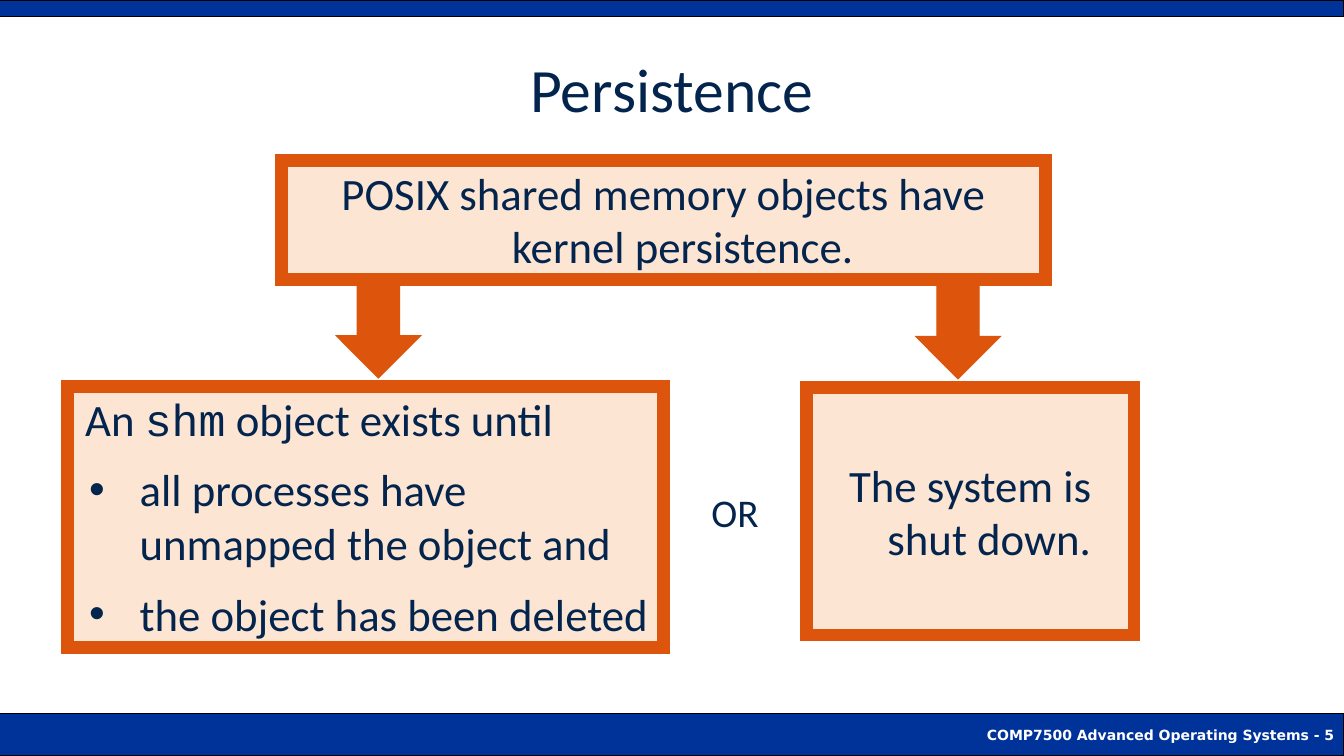
from pptx import Presentation
from pptx.dml.color import RGBColor
from pptx.enum.shapes import MSO_SHAPE
from pptx.enum.text import MSO_ANCHOR, PP_ALIGN
from pptx.oxml.ns import qn
from pptx.util import Inches, Pt
from lxml import etree

RECT, DOWN_ARROW = MSO_SHAPE.RECTANGLE, MSO_SHAPE.DOWN_ARROW
LEFT, CENTER, RIGHT = PP_ALIGN.LEFT, PP_ALIGN.CENTER, PP_ALIGN.RIGHT
TOP, MIDDLE = MSO_ANCHOR.TOP, MSO_ANCHOR.MIDDLE
NAVY = RGBColor(0x03, 0x24, 0x4D)
BLUE = RGBColor(0x00, 0x33, 0x99)
ORANGE = RGBColor(0xF6, 0x80, 0x26)
RUST = RGBColor(0xDD, 0x55, 0x0C)
BLACK = RGBColor(0, 0, 0)
WHITE = RGBColor(255, 255, 255)

deck = Presentation()
deck.slide_width, deck.slide_height = Inches(13.33), Inches(7.5)
COL, ROW = deck.slide_width / 160, deck.slide_height / 90
slide = deck.slides.add_slide(deck.slide_layouts[5])


def place(kind, col, row, cols, rows, fill, line, weight):
    shape = slide.shapes.add_shape(
        kind, int(col * COL), int(row * ROW), int(cols * COL), int(rows * ROW))
    shape.shadow.inherit = False
    shape.fill.solid()
    shape.fill.fore_color.rgb = fill
    shape.line.color.rgb = line
    shape.line.width = Pt(weight)
    etree.SubElement(shape.line._ln, qn("a:miter"), lim="800000")
    return shape


def write(paragraph, pieces, size, align, color=NAVY, font="Calibri"):
    for piece in pieces:
        paragraph.add_run().text = piece
    paragraph.alignment = align
    paragraph.font.size = Pt(size)
    paragraph.font.name = font
    paragraph.font.color.rgb = color


title = slide.shapes.title
title.left, title.top = int(4 * COL), int(5 * ROW)
title.width, title.height = int(152 * COL), int(11 * ROW)
title.text_frame.vertical_anchor = MIDDLE
write(title.text_frame.paragraphs[0], ["Persistence"], 44, CENTER)

place(RECT, 0, 0, 160, 2, BLUE, BLACK, 0.75)
footer = place(RECT, 0, 85, 160, 5, BLUE, BLACK, 0.75).text_frame
footer.vertical_anchor = MIDDLE
course = footer.paragraphs[0]
write(course, ["COMP7500 Advanced Operating Systems - 5"], 10, RIGHT, WHITE, "DejaVu Sans")
course.font.bold = True

statements = [
    (33.5, 19.1, 91, 14.2, TOP, CENTER, -0.38,
     [["POSIX shared memory objects have kernel persistence."]]),
    (8, 46, 71, 31.1, TOP, LEFT, -0.3,
     [["An ", "shm", " object exists until"],
      ["all processes have unmapped the object and"],
      ["the object has been deleted"]]),
    (96, 46.1, 39, 29.5, MIDDLE, CENTER, -0.38,
     [["The system is shut down."]]),
]
for col, row, cols, rows, anchor, align, indent, lines in statements:
    box = place(RECT, col, row, cols, rows, ORANGE, RUST, 9)
    tint = box.fill._xPr.find(qn("a:solidFill"))[0]
    etree.SubElement(tint, qn("a:alpha"), val="20000")
    frame = box.text_frame
    frame.word_wrap = True
    frame.vertical_anchor = anchor
    for number, pieces in enumerate(lines):
        paragraph = frame.add_paragraph() if number else frame.paragraphs[0]
        margin, hang = (0.62, -0.5) if number else (0.38, indent)
        props = paragraph._p.get_or_add_pPr()
        props.set("marL", str(Inches(margin)))
        props.set("indent", str(Inches(hang)))
        if number:
            paragraph.level = 1
            paragraph.space_before = Pt(6)
            etree.SubElement(props, qn("a:buFont"), typeface="Arial")
            etree.SubElement(props, qn("a:buChar"), char="•")
        paragraph.space_after = Pt(6)
        write(paragraph, pieces, 32, align)
        for run in paragraph.runs:
            if run.text == "shm":
                run.font.name = "Courier New"

for col, row in ((40, 33.7), (109, 33.8)):
    place(DOWN_ARROW, col, row, 10.1, 11.3, RUST, RUST, 0.75)

either = slide.shapes.add_textbox(
    int(82 * COL), int(57.5 * ROW), int(11 * COL), int(6.8 * ROW)).text_frame
either.word_wrap = True
write(either.paragraphs[0], ["OR"], 28, CENTER)

deck.save("out.pptx")
